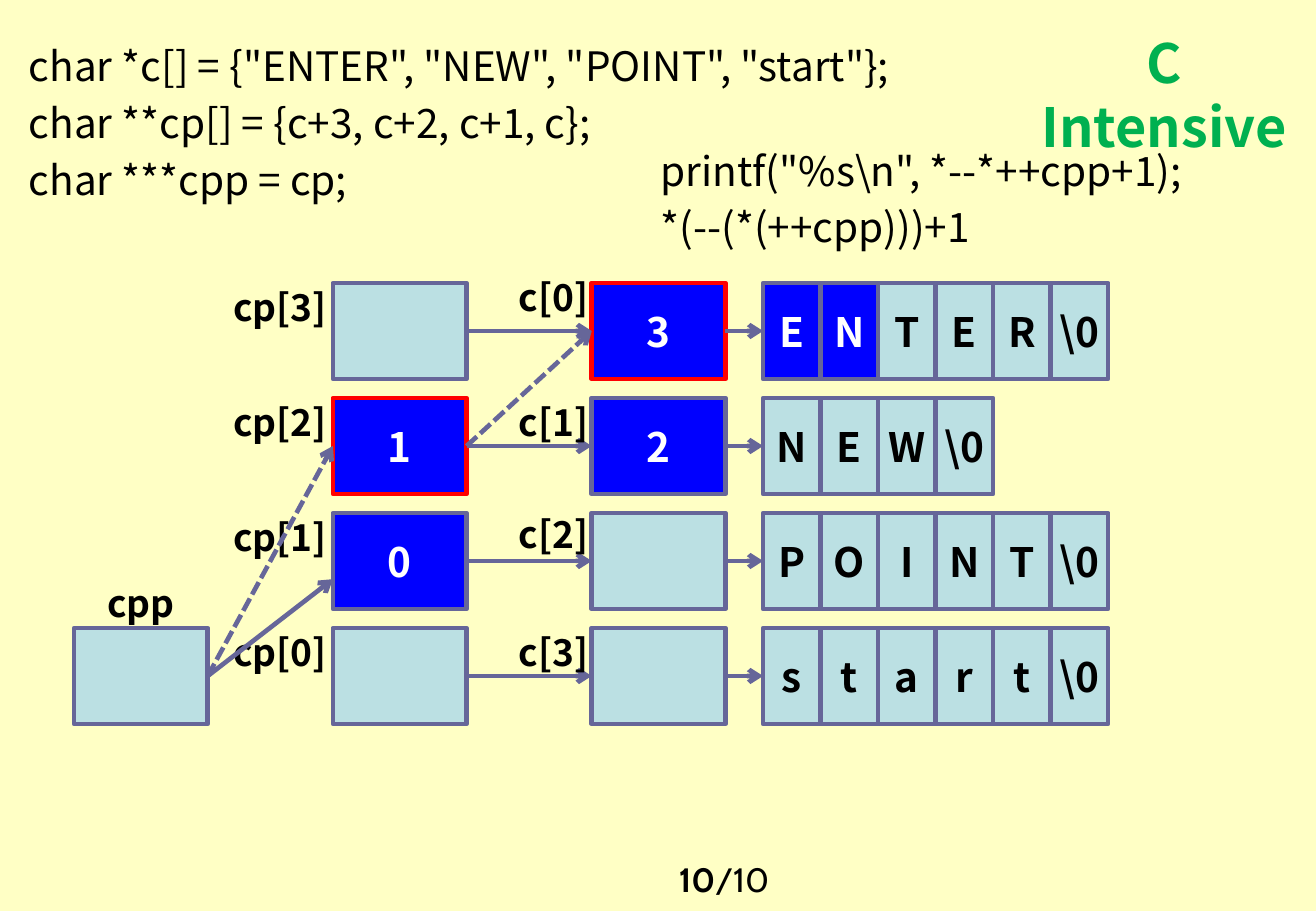
from lxml.etree import SubElement
from pptx import Presentation
from pptx.dml.color import RGBColor
from pptx.enum.dml import MSO_LINE
from pptx.enum.shapes import MSO_CONNECTOR, MSO_SHAPE
from pptx.enum.text import MSO_ANCHOR, MSO_AUTO_SIZE, PP_ALIGN
from pptx.oxml.ns import qn
from pptx.util import Inches, Pt

COLOURS = {"page": "FFFFC5", "title": "00B050", "text": "000000", "light": "FFFFFF",
           "cell": "BBE0E3", "active": "0000FF", "outline": "666699", "changed": "FF0000"}

# Layout rules, in inches
TOP, BOTTOM = 2.33, 5.17
PITCH = (BOTTOM - TOP) / 3
CHAR_WIDTH = PITCH / 2
BOX_WIDTH, BOX_HEIGHT = 1.1, 0.79
CPP_LEFT, CP_LEFT, C_LEFT, CHARS_LEFT = 0.61, 2.74, 4.87, 6.28
LEFT_SITE, RIGHT_SITE = 1, 3

WORDS = ["ENTER", "NEW", "POINT", "start"]
C_VALUES = ["3", "2", "", ""]
CP_VALUES = ["", "1", "0", ""]
C_LABEL_TOPS = [2.25, 3.28, 4.2, 5.17]


class Diagram:
    def __init__(self, page):
        self.page = page
        self.font = "Noto Sans CJK KR"

    def colour(self, name):
        return RGBColor.from_string(COLOURS[name])

    def set_text(self, frame, lines, size, colour="text", bold=False,
                 align=PP_ALIGN.CENTER, anchor=MSO_ANCHOR.MIDDLE, wrap=False, font=None):
        """Each line is a list of (text, bold) spans, or a plain string."""
        frame_format = {"word_wrap": wrap, "auto_size": MSO_AUTO_SIZE.NONE,
                        "vertical_anchor": anchor}
        for name, value in frame_format.items():
            setattr(frame, name, value)
        for index, line in enumerate(lines):
            para = frame.add_paragraph() if index else frame.paragraphs[0]
            para.alignment = align
            para.space_before = Pt(size * 0.2 if index else 0)
            for text, heavy in [(line, bold)] if isinstance(line, str) else line:
                span = para.add_run()
                span.text = text
                font_format = {"name": font or self.font, "size": Pt(size), "bold": heavy}
                for name, value in font_format.items():
                    setattr(span.font, name, value)
                span.font.color.rgb = self.colour(colour)

    def title(self, left, top, width, height, text):
        box = self.page.shapes.title
        place = {"left": left, "top": top, "width": width, "height": height}
        for name, value in place.items():
            setattr(box, name, Inches(value))
        self.set_text(box.text_frame, [text], 32, "title", True,
                      anchor=MSO_ANCHOR.TOP, wrap=True)

    def text(self, left, top, width, height, lines, size, **style):
        box = self.page.shapes.add_textbox(*map(Inches, (left, top, width, height)))
        self.set_text(box.text_frame, lines, size, **style)

    def code(self, left, top, width, height, lines):
        self.text(left, top, width, height, lines, 24, align=PP_ALIGN.LEFT,
                  anchor=MSO_ANCHOR.TOP, wrap=True)

    def label(self, left, top, width, text):
        self.text(left, top, width, 0.39, [text], 22, bold=True)

    def box(self, left, top, width=BOX_WIDTH, text="", active=False, changed=False):
        box = self.page.shapes.add_shape(
            MSO_SHAPE.RECTANGLE, *map(Inches, (left, top, width, BOX_HEIGHT)))
        box.shadow.inherit = False
        box.fill.solid()
        box.fill.fore_color.rgb = self.colour("active" if active else "cell")
        box.line.color.rgb = self.colour("changed" if changed else "outline")
        box.line.width = Pt(2.75)
        if text:
            self.set_text(box.text_frame, [text], 24, "light" if active else "text", True)
        return box

    def arrow(self, source, target, drop=0, dashed=False):
        """Right middle of source to left middle of target, or `drop` below it."""
        arrow = self.page.shapes.add_connector(
            MSO_CONNECTOR.STRAIGHT, source.left + source.width,
            source.top + source.height // 2, target.left,
            target.top + target.height // 2 + Inches(drop))
        arrow.begin_connect(source, RIGHT_SITE)
        if not drop:
            arrow.end_connect(target, LEFT_SITE)
        arrow.line.color.rgb = self.colour("outline")
        arrow.line.width = Pt(2.75)
        if dashed:
            arrow.line.dash_style = MSO_LINE.SQUARE_DOT
        properties = arrow.element.spPr
        SubElement(properties.find(qn("a:ln")), qn("a:tailEnd"), type="arrow")
        SubElement(properties, qn("a:effectLst"))


def main():
    deck = Presentation()
    deck.slide_width, deck.slide_height = Inches(10.83), Inches(7.5)
    page = deck.slides.add_slide(deck.slide_layouts[5])
    diagram = Diagram(page)
    page.background.fill.solid()
    page.background.fill.fore_color.rgb = diagram.colour("page")

    # Title, page number and code
    diagram.title(8.41, 0.19, 2.34, 0.64, "C Intensive")
    diagram.text(4.63, 6.93, 2.66, 0.52, [[("10", True), ("/10", False)]], 20,
                 anchor=MSO_ANCHOR.BOTTOM, font="Cabin")
    diagram.code(0.14, 0.29, 7.8, 1.47, [
        'char *c[] = {"ENTER", "NEW", "POINT", "start"};',
        "char **cp[] = {c+3, c+2, c+1, c};",
        "char ***cpp = cp;"])
    diagram.code(5.34, 1.15, 5.13, 0.99, [
        'printf("%s\\n", *--*++cpp+1);',
        "*(--(*(++cpp)))+1"])

    # Pointer rows: cp entry, c entry, characters
    cp_boxes, c_boxes = [], []
    for row, word in enumerate(WORDS):
        top = TOP + row * PITCH
        cp_value, c_value = CP_VALUES[row], C_VALUES[row]
        cp_boxes.append(diagram.box(CP_LEFT, top, text=cp_value,
                                    active=bool(cp_value), changed=cp_value == "1"))
        c_boxes.append(diagram.box(C_LEFT, top, text=c_value,
                                   active=bool(c_value), changed=c_value == "3"))
        chars = [diagram.box(CHARS_LEFT + index * CHAR_WIDTH, top, CHAR_WIDTH, char,
                             active=row == 0 and index < 2)
                 for index, char in enumerate([*word, "\\0"])]
        diagram.arrow(cp_boxes[row], c_boxes[row])
        diagram.arrow(c_boxes[row], chars[0])
        diagram.label(1.87, top, 0.87, f"cp[{3 - row}]")
        diagram.label(4.16, C_LABEL_TOPS[row], 0.79, f"c[{row}]")

    # cpp and the moved pointers
    cpp_box = diagram.box(CPP_LEFT, BOTTOM)
    diagram.label(CPP_LEFT, 4.77, BOX_WIDTH, "cpp")
    diagram.arrow(cpp_box, cp_boxes[2], drop=0.15)
    diagram.arrow(cp_boxes[1], c_boxes[0], dashed=True)
    diagram.arrow(cpp_box, cp_boxes[1], dashed=True)

    deck.save("out.pptx")


if __name__ == "__main__":
    main()
